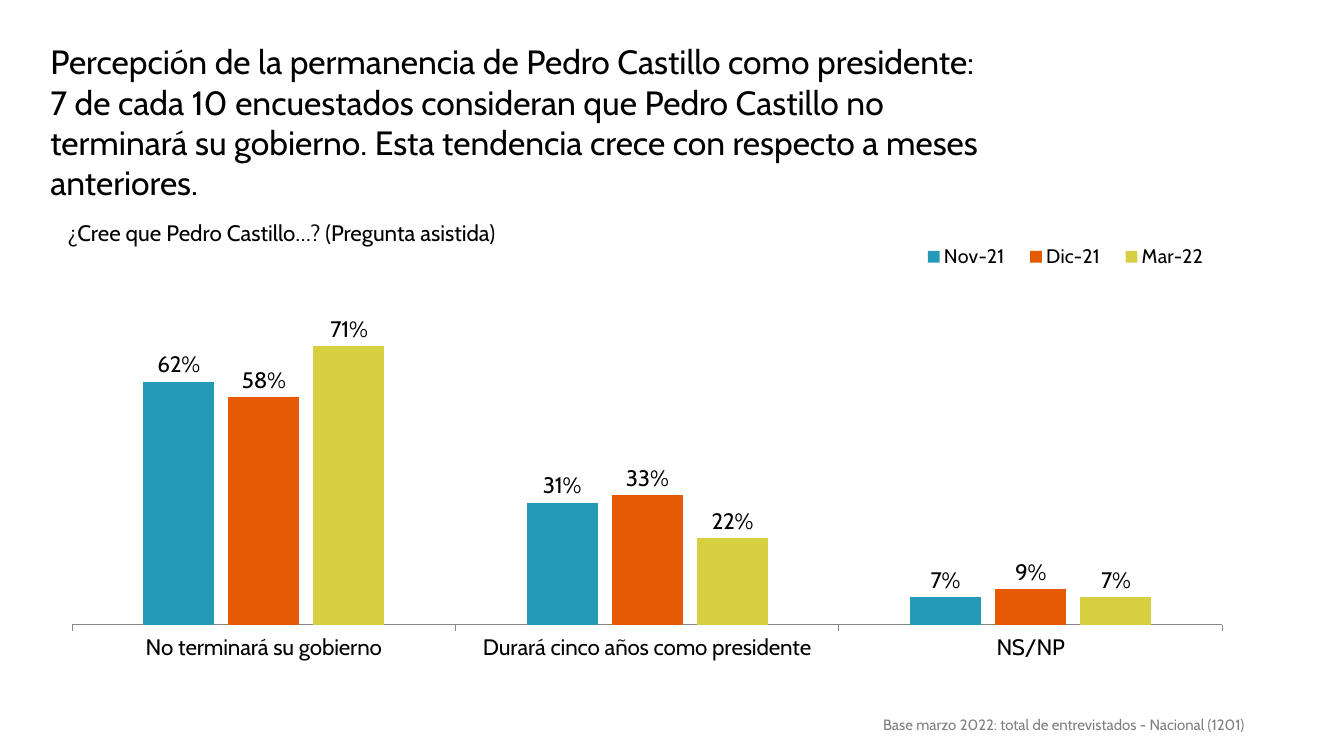
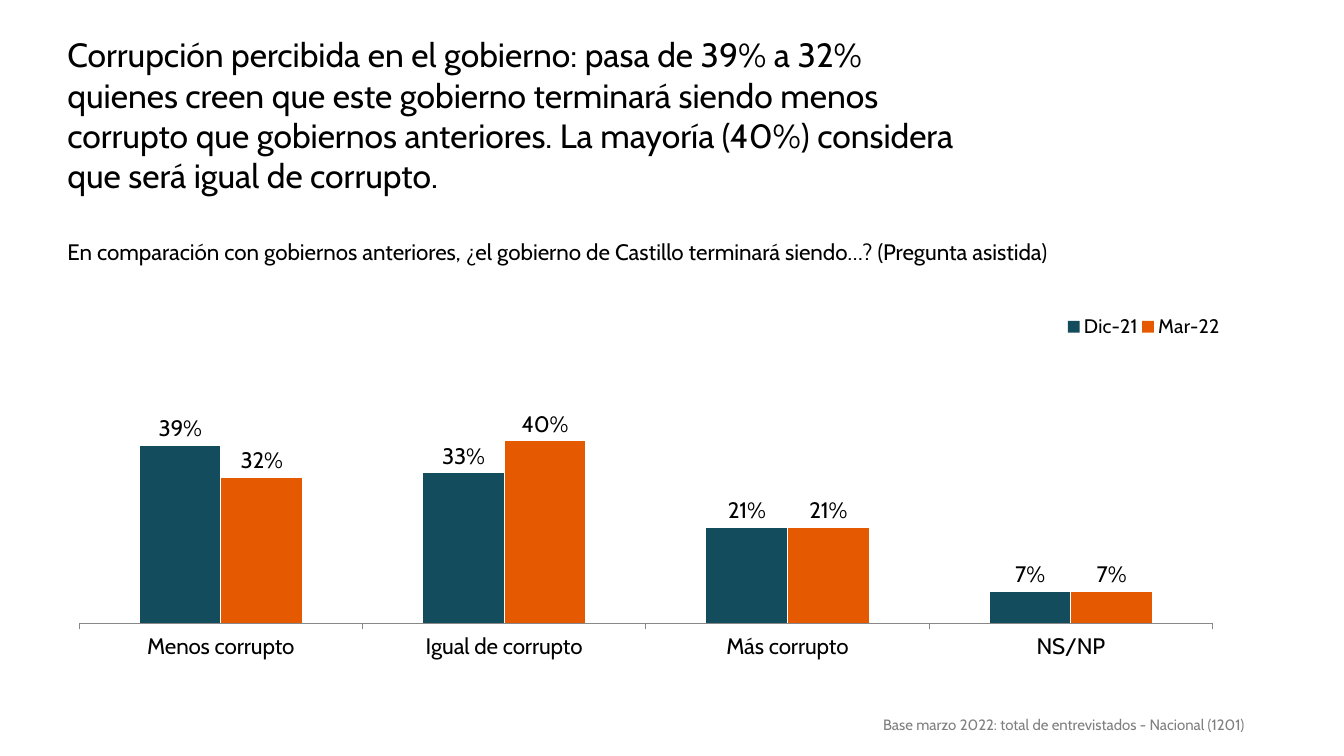
from lxml import etree
from pptx import Presentation
from pptx import util as u
from pptx.chart.data import CategoryChartData
from pptx.dml.color import RGBColor
from pptx.enum import chart as ch
from pptx.enum import text as t

C_NS = "http://schemas.openxmlformats.org/drawingml/2006/chart"


def color(hex_value):
    return RGBColor.from_string(hex_value)


def apply(target, values):
    for name, value in values.items():
        setattr(target, name, value)


def set_layout(parent, index, box, inner=False):
    """Place a chart part by fractions of the chart: x, y, width, height."""
    for old in parent.findall(f"{{{C_NS}}}layout"):
        parent.remove(old)
    layout = etree.Element(f"{{{C_NS}}}layout")
    manual = etree.SubElement(layout, f"{{{C_NS}}}manualLayout")
    settings = [("layoutTarget", "inner")] if inner else []
    settings += [("xMode", "edge"), ("yMode", "edge"), *zip("xywh", box)]
    for tag, value in settings:
        etree.SubElement(manual, f"{{{C_NS}}}{tag}", val=str(value))
    parent.insert(index, layout)


class SurveyDeck:
    FONT = "Cabin"
    BLACK, GRAY, AXIS = "000000", "808080", "888888"
    TITLE, BODY, LEGEND, NOTE = 24, 16, 14, 10.7
    BASE = "Base marzo 2022: total de entrevistados - Nacional (1201)"

    def __init__(self):
        self.prs = Presentation()
        apply(self.prs, {"slide_width": u.Inches(13.33), "slide_height": u.Inches(7.5)})
        self.slide = None

    def style(self, font, size, hex_value=BLACK):
        apply(font, {"name": self.FONT, "size": u.Pt(size), "bold": False})
        font.color.rgb = color(hex_value)

    def new_slide(self):
        self.slide = self.prs.slides.add_slide(self.prs.slide_layouts[6])
        self.text((8.66, 7.07, 4.2, 0.26), [self.BASE], self.NOTE, self.GRAY,
                  {"alignment": t.PP_ALIGN.JUSTIFY, "line_spacing": 0.9})

    def text(self, box, lines, size, hex_value=BLACK, paragraph_format=None):
        frame = self.slide.shapes.add_textbox(*map(u.Inches, box)).text_frame
        frame.word_wrap = True
        for i, line in enumerate(lines):
            paragraph = frame.add_paragraph() if i else frame.paragraphs[0]
            apply(paragraph, paragraph_format or {})
            run = paragraph.add_run()
            run.text = line
            self.style(run.font, size, hex_value)

    def title(self, box, *lines):
        self.text(box, lines, self.TITLE)

    def question(self, box, wording):
        self.text(box, [wording], self.BODY)

    def columns(self, box, answers, waves, bars, plot_box, legend_side, legend_box):
        """waves: (name, colour, values); bars: gap width and overlap."""
        data = CategoryChartData(number_format="0%")
        data.categories = answers
        for name, _, values in waves:
            data.add_series(name, values)
        chart = self.slide.shapes.add_chart(
            ch.XL_CHART_TYPE.COLUMN_CLUSTERED, *map(u.Inches, box), data).chart
        apply(chart, {"has_title": False, "has_legend": True})
        self.style(chart.font, self.LEGEND)

        # Axes
        apply(chart.value_axis, {"visible": False, "minimum_scale": 0,
                                 "maximum_scale": 1, "has_major_gridlines": False})
        answer_axis = chart.category_axis
        apply(answer_axis, {"major_tick_mark": ch.XL_TICK_MARK.OUTSIDE,
                            "minor_tick_mark": ch.XL_TICK_MARK.NONE,
                            "has_major_gridlines": False})
        answer_axis.format.line.width = u.Pt(0.75)
        answer_axis.format.line.color.rgb = color(self.AXIS)
        self.style(answer_axis.tick_labels.font, self.BODY)

        # Bars and their values
        plot = chart.plots[0]
        apply(plot, {"vary_by_categories": False, **bars})
        for series, (_, fill, _) in zip(plot.series, waves):
            series.format.fill.solid()
            series.format.fill.fore_color.rgb = color(fill)
            labels = series.data_labels
            apply(labels, {"show_value": True, "number_format": "0%",
                           "number_format_is_linked": False,
                           "position": ch.XL_LABEL_POSITION.OUTSIDE_END})
            self.style(labels.font, self.BODY)

        # Legend and placing
        legend = chart.legend
        apply(legend, {"position": legend_side, "include_in_layout": False})
        self.style(legend.font, self.LEGEND)
        set_layout(legend._element, 1, legend_box)
        set_layout(legend._element.getparent().find(f"{{{C_NS}}}plotArea"),
                   0, plot_box, inner=True)


def main():
    deck = SurveyDeck()
    orange = "E55A00"

    # Permanence of the president
    deck.new_slide()
    deck.title((0.4, 0.36, 9.61, 1.24),
               "Percepción de la permanencia de Pedro Castillo como presidente:",
               "7 de cada 10 encuestados consideran que Pedro Castillo no terminará "
               "su gobierno. Esta tendencia crece con respecto a meses anteriores.")
    deck.question((0.57, 2.13, 4.63, 0.37),
                  "¿Cree que Pedro Castillo…? (Pregunta asistida)")
    deck.columns((0.71, 2.31, 11.53, 4.32),
                 ["No terminará su gobierno", "Durará cinco años como presidente", "NS/NP"],
                 [("Nov-21", "2599B8", (0.62, 0.31, 0.07)),
                  ("Dic-21", orange, (0.58, 0.33, 0.09)),
                  ("Mar-22", "D7CF42", (0.71, 0.22, 0.07))],
                 {"gap_width": 200, "overlap": -20}, (0, 0, 0.99, 0.9),
                 ch.XL_LEGEND_POSITION.TOP, (0.72, 0.02, 0.27, 0.07))

    # Perceived corruption
    deck.new_slide()
    deck.title((0.57, 0.29, 9.22, 1.86),
               "Corrupción percibida en el gobierno: pasa de 39% a 32% quienes creen "
               "que este gobierno terminará siendo menos corrupto que gobiernos "
               "anteriores. La mayoría (40%) considera que será igual de corrupto.")
    deck.question((0.57, 2.31, 10.38, 0.37),
                  "En comparación con gobiernos anteriores, ¿el gobierno de Castillo "
                  "terminará siendo…? (Pregunta asistida)")
    deck.columns((0.78, 1.51, 11.36, 5.5),
                 ["Menos corrupto", "Igual de corrupto", "Más corrupto", "NS/NP"],
                 [("Dic-21", "134C5C", (0.39, 0.33, 0.21, 0.07)),
                  ("Mar-22", orange, (0.32, 0.4, 0.21, 0.07))],
                 {"gap_width": 150, "overlap": -1}, (0, 0.03, 0.99, 0.82),
                 ch.XL_LEGEND_POSITION.RIGHT, (0.86, 0.29, 0.14, 0.05))

    deck.prs.save("out.pptx")


if __name__ == "__main__":
    main()
